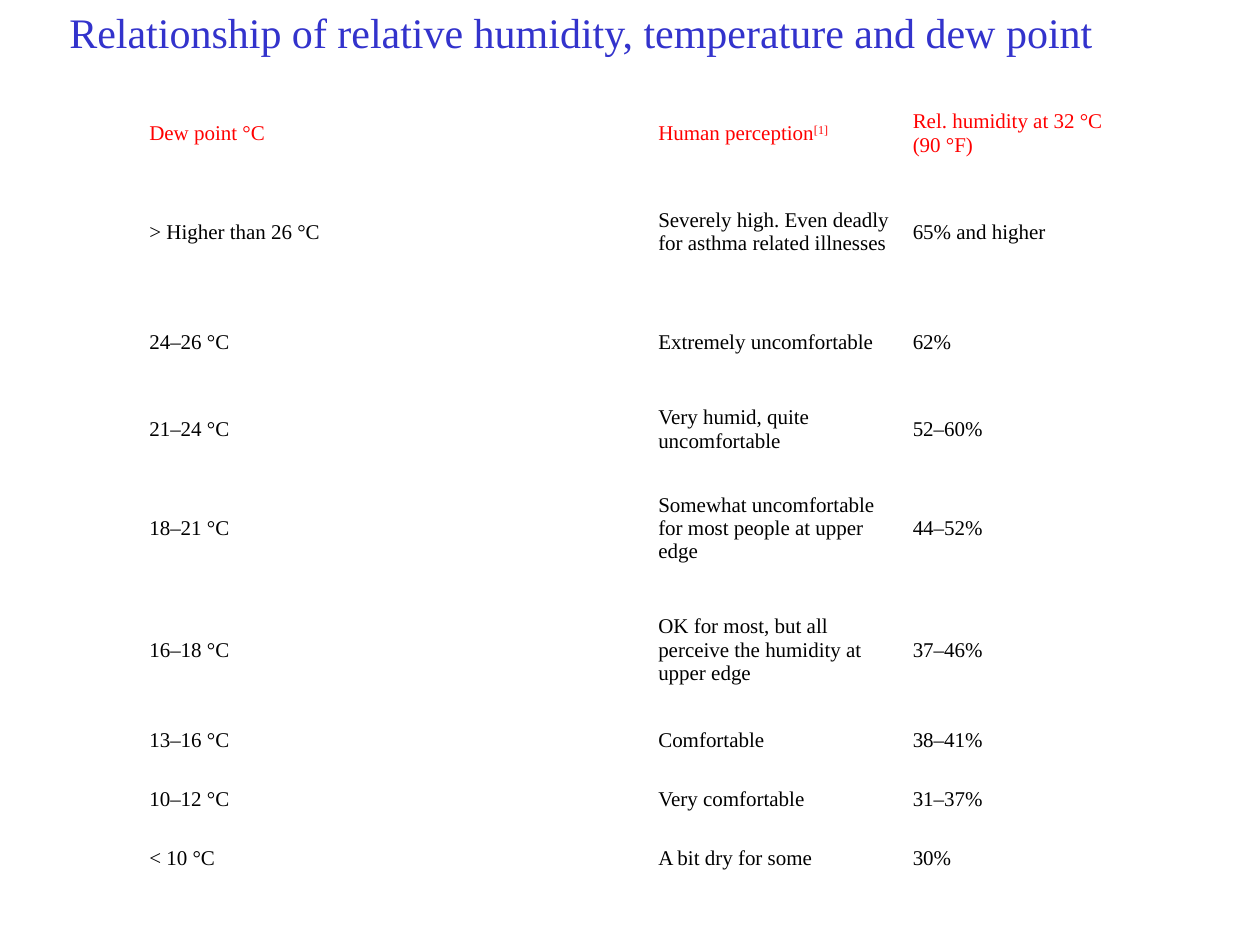
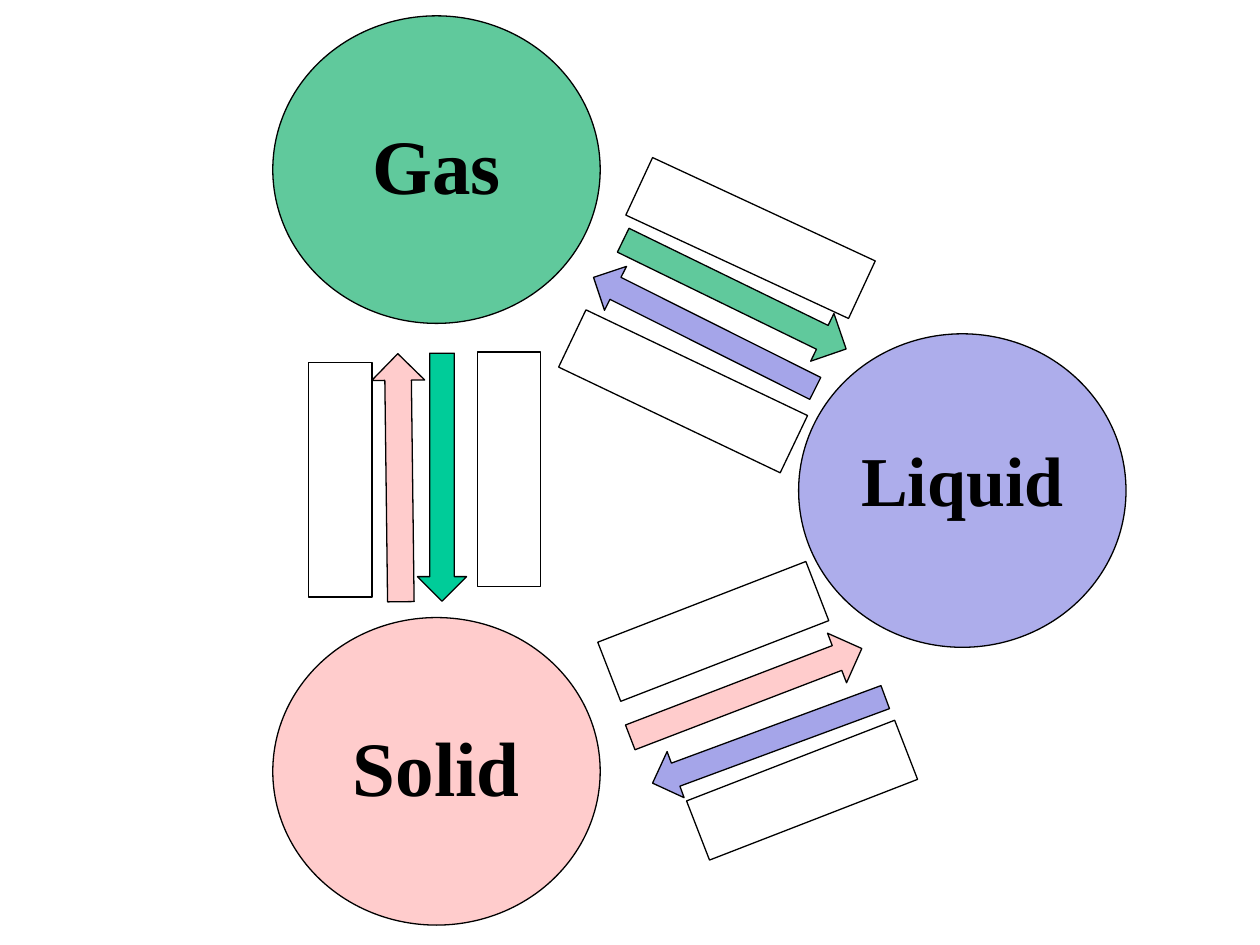
"""Build two slides on humidity comfort levels and the changes between states of matter."""
from dataclasses import dataclass

from pptx import Presentation
from pptx import util as u
from pptx.dml import color
from pptx.enum import shapes, text


@dataclass(frozen=True)
class Theme:
    """Colours, font and type sizes that the slides share."""
    font: str = "Times New Roman"
    title: str = "3333CC"
    header: str = "FF0000"
    ink: str = "000000"
    gas: str = "60C99C"
    deposition: str = "00CC99"
    liquid: str = "ADADEB"
    liquid_arrow: str = "A5A5E9"
    solid: str = "FFCCCC"
    title_size: int = 24
    table_size: int = 12
    state_size: int = 44
    small_state_size: int = 40
    outline: float = 0.75


THEME = Theme()

NO_BREAK_SPACE = chr(160)
HEADERS = ("Dew point °C", "Human perception", f"Rel. humidity at 32 °C (90{NO_BREAK_SPACE}°F)")
COMFORT_LEVELS = (
    ("> Higher than 26 °C", "Severely high. Even deadly for asthma related illnesses", "65% and higher"),
    ("24–26 °C", "Extremely uncomfortable", "62%"),
    ("21–24 °C", "Very humid, quite uncomfortable", "52–60%"),
    ("18–21 °C", "Somewhat uncomfortable for most people at upper edge", "44–52%"),
    ("16–18 °C", "OK for most, but all perceive the humidity at upper edge", "37–46%"),
    ("13–16 °C", "Comfortable", "38–41%"),
    ("10–12 °C", "Very comfortable", "31–37%"),
    ("< 10 °C", "A bit dry for some", "30%"),
)
ROW_HEIGHTS = (1.52, 2.46, 1.98, 1.53, 2.46, 2.45, 1.19, 1.19, 1.19)
COLUMN_WIDTH = 5.13
TEXT_COLUMNS = (0, 2, 3)

STATES = (
    ("Gas", 5.5, 0.32, 6.2, THEME.gas, THEME.state_size, 0.36),
    ("Liquid", 16.1, 6.73, 6.32, THEME.liquid, THEME.small_state_size, 0.62),
    ("Solid", 5.5, 12.45, 6.2, THEME.solid, THEME.state_size, 0.36),
)
STATE_WIDTH = 6.6

ARROWS = (
    (14.81, 5.94, 1.07, 26, THEME.gas),
    (14.2, 6.71, 0.99, 206.6, THEME.liquid_arrow),
    (15.04, 13.97, 1.07, 339, THEME.solid),
    (15.5, 14.92, 0.99, 159.7, THEME.liquid_arrow),
    (8.05, 9.63, 1.07, 269.3, THEME.solid),
    (8.91, 9.62, 0.99, 90, THEME.deposition),
)
ARROW_LENGTH = 5

ANSWER_BOXES = (
    (15.13, 4.8, 4.95, 24.9),
    (13.77, 7.89, 4.95, 25.5),
    (14.38, 12.73, 4.5, 338.8),
    (16.17, 15.93, 4.5, 338.8),
    (6.86, 9.67, 4.73, 90),
    (10.26, 9.46, 4.73, 90),
)
ANSWER_HEIGHT = 1.28


def set_format(target, **values):
    """Set each named attribute on the target."""
    for name, value in values.items():
        setattr(target, name, value)


def add_run(paragraph, words, size, ink=THEME.ink, bold=False):
    """Add a run in the shared font and return it."""
    run = paragraph.add_run()
    run.text = words
    set_format(run.font, name=THEME.font, size=u.Pt(size), bold=bold)
    run.font.color.rgb = color.RGBColor.from_string(ink)
    return run


def add_title(slide, words):
    """Add the slide title as an unwrapped text box."""
    box = slide.shapes.add_textbox(u.Cm(1.15), u.Cm(0), u.Cm(21.18), u.Cm(1.27))
    box.text_frame.word_wrap = False
    add_run(box.text_frame.paragraphs[0], words, THEME.title_size, THEME.title)


def add_comfort_table(slide):
    """Add the plain table, whose second column stays empty."""
    rows = (HEADERS, *COMFORT_LEVELS)
    table = slide.shapes.add_table(
        len(rows), 4, u.Cm(2.91), u.Cm(1.93),
        u.Cm(4 * COLUMN_WIDTH), u.Cm(sum(ROW_HEIGHTS))).table
    set_format(table, first_row=False, horz_banding=False)
    for column in table.columns:
        column.width = u.Cm(COLUMN_WIDTH)
    for row_index, (height, entries) in enumerate(zip(ROW_HEIGHTS, rows)):
        table.rows[row_index].height = u.Cm(height)
        for cell in table.rows[row_index].cells:
            cell.fill.background()
            set_format(cell, vertical_anchor=text.MSO_ANCHOR.MIDDLE,
                       margin_left=u.Cm(0.1), margin_right=u.Cm(0.1),
                       margin_top=u.Cm(0.13), margin_bottom=u.Cm(0.13))
        ink = THEME.ink if row_index else THEME.header
        for column_index, words in zip(TEXT_COLUMNS, entries):
            paragraph = table.cell(row_index, column_index).text_frame.paragraphs[0]
            add_run(paragraph, words, THEME.table_size, ink)
    perception = table.cell(0, 2).text_frame.paragraphs[0]
    reference = add_run(perception, "[1]", THEME.table_size, THEME.header)
    reference.font._element.set("baseline", "30000")


def add_outlined(slide, kind, left, top, width, height, fill=None):
    """Add a thinly outlined preset shape, filled only when a colour is given."""
    shape = slide.shapes.add_shape(kind, u.Cm(left), u.Cm(top), u.Cm(width), u.Cm(height))
    shape.shadow.inherit = False
    shape.line.color.rgb = color.RGBColor.from_string(THEME.ink)
    shape.line.width = u.Pt(THEME.outline)
    if fill:
        shape.fill.solid()
        shape.fill.fore_color.rgb = color.RGBColor.from_string(fill)
    else:
        shape.fill.background()
    return shape


def add_turned(slide, kind, center, length, height, angle, fill=None):
    """Add an outlined shape around a centre point, turned by an angle."""
    x, y = center
    shape = add_outlined(slide, kind, x - length / 2, y - height / 2, length, height, fill)
    shape.rotation = angle


def add_state(slide, name, left, top, height, fill, size, bottom_margin):
    """Add the ellipse of one state of matter with its name."""
    ellipse = add_outlined(slide, shapes.MSO_SHAPE.OVAL, left, top, STATE_WIDTH, height, fill)
    frame = ellipse.text_frame
    set_format(frame, vertical_anchor=text.MSO_ANCHOR.MIDDLE, word_wrap=True,
               margin_bottom=u.Cm(bottom_margin))
    paragraph = frame.paragraphs[0]
    paragraph.alignment = text.PP_ALIGN.CENTER
    add_run(paragraph, name, size, bold=True)


def add_state_diagram(slide):
    """Add the states, the arrows between them and the empty answer boxes."""
    for state in STATES:
        add_state(slide, *state)
    for x, y, length, angle in ANSWER_BOXES:
        add_turned(slide, shapes.MSO_SHAPE.RECTANGLE, (x, y), length, ANSWER_HEIGHT, angle)
    for x, y, height, angle, fill in ARROWS:
        add_turned(slide, shapes.MSO_SHAPE.RIGHT_ARROW, (x, y), ARROW_LENGTH, height, angle, fill)


def main():
    """Create the presentation and save it."""
    presentation = Presentation()
    set_format(presentation, slide_width=u.Cm(25.4), slide_height=u.Cm(19.05))
    blank = presentation.slide_layouts[6]

    humidity = presentation.slides.add_slide(blank)
    add_comfort_table(humidity)
    add_title(humidity, "Relationship of relative humidity, temperature and dew point")

    add_state_diagram(presentation.slides.add_slide(blank))
    presentation.save("out.pptx")


if __name__ == "__main__":
    main()
